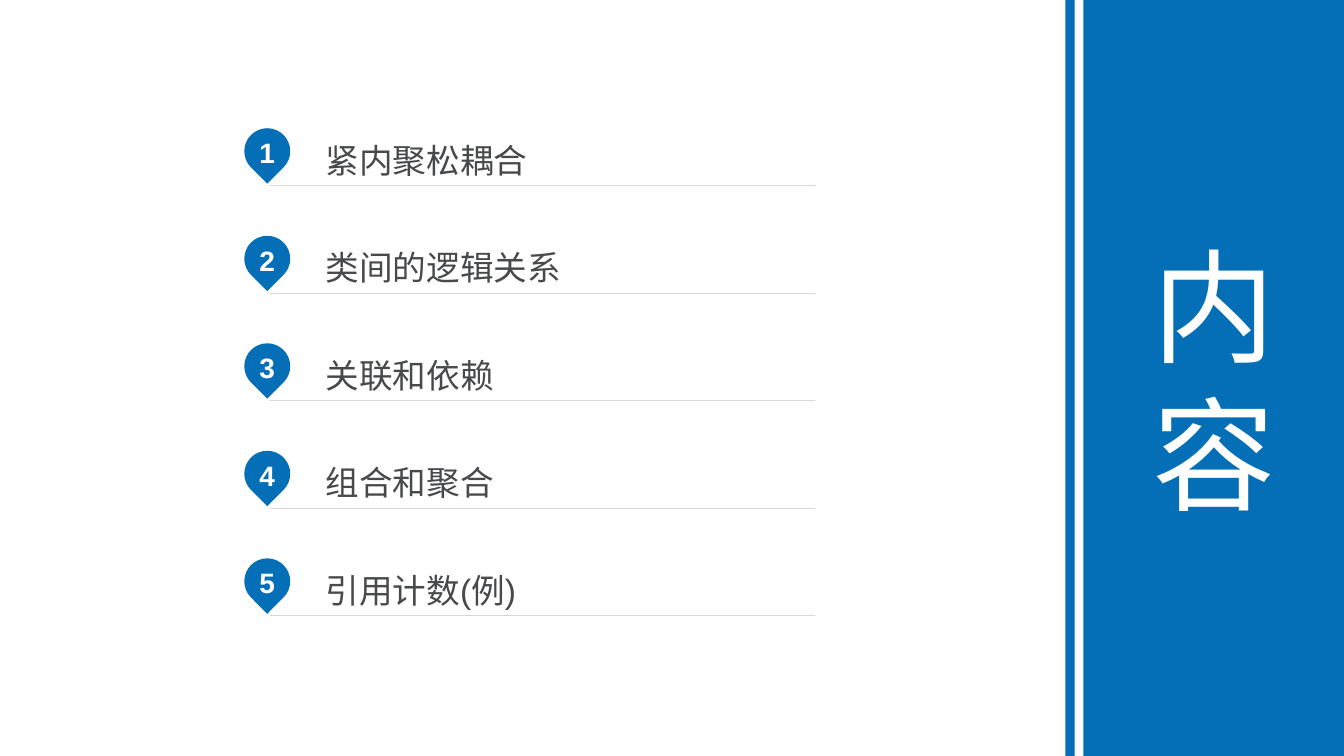
"""Build a contents slide with numbered pins and a title band."""
import itertools
import math

import lxml.etree
import pptx
import pptx.dml.color
import pptx.enum.shapes
import pptx.enum.text
import pptx.oxml.ns
import pptx.util

Pt = pptx.util.Pt
RGBColor = pptx.dml.color.RGBColor
ALIGN = pptx.enum.text.PP_ALIGN
qn = pptx.oxml.ns.qn

BLUE = RGBColor(0x04, 0x6F, 0xB6)
WHITE = RGBColor(0xFF, 0xFF, 0xFF)
GRAY = RGBColor(0xD7, 0xD7, 0xD7)
INK = RGBColor(0x47, 0x49, 0x4B)

TOPICS = ["紧内聚松耦合", "类间的逻辑关系", "关联和依赖", "组合和聚合", "引用计数(例)"]
FIRST_TOP = 91.6
STEP = 76.8
PIN_CENTER = 190.9
PIN_RADIUS = 16.4
PIN_ANGLES = [45, 0, -90, -180, -225]
ENTRY_LEFT = 193.1
ENTRY_RIGHT = 582.1
ENTRY_HEIGHT = 39.6


def to_points(pairs):
    """Convert coordinate pairs to lengths in points."""
    return [(Pt(x), Pt(y)) for x, y in pairs]


def paint(shape, color):
    """Give a shape a plain fill without outline or shadow."""
    shape.shadow.inherit = False
    shape.fill.solid()
    shape.fill.fore_color.rgb = color
    shape.line.fill.background()


def write(shape, text, size, color, align, insets, bold=False, spacing=1.0):
    """Write vertically centred text into a shape."""
    frame = shape.text_frame
    frame.word_wrap = True
    frame.vertical_anchor = pptx.enum.text.MSO_ANCHOR.MIDDLE
    frame.margin_left, frame.margin_top, frame.margin_right, frame.margin_bottom = (
        Pt(inset) for inset in insets)
    para = frame.paragraphs[0]
    para.alignment = align
    para.line_spacing = spacing
    span = para.add_run()
    span.text = text
    span.font.name = "Arial"
    span.font.size = Pt(size)
    span.font.bold = bold
    span.font.color.rgb = color


def arc_points(center_x, center_y, radius, start, end):
    """Return two control points and the end point of a circular arc."""
    first, last = math.radians(start), math.radians(end)
    pull = 4 / 3 * math.tan((last - first) / 4)
    units = [
        (math.cos(first) - pull * math.sin(first), math.sin(first) + pull * math.cos(first)),
        (math.cos(last) + pull * math.sin(last), math.sin(last) - pull * math.cos(last)),
        (math.cos(last), math.sin(last))]
    return [(center_x + radius * x, center_y + radius * y) for x, y in units]


def bend(shape):
    """Turn each three segments after the first into one curve."""
    segments = list(shape.element.iter(qn("a:lnTo")))[1:]
    for index in range(0, len(segments), 3):
        curve = lxml.etree.Element(qn("a:cubicBezTo"))
        segments[index].addprevious(curve)
        for segment in segments[index:index + 3]:
            curve.append(segment[0])
            segment.getparent().remove(segment)


def add_pin(page, top, number):
    """Draw a round pin pointing down, with its number."""
    middle = top + PIN_RADIUS
    reach = PIN_RADIUS * math.sqrt(0.5)
    corners = [(PIN_CENTER, middle + 2 * reach), (PIN_CENTER + reach, middle + reach)]
    for start, end in itertools.pairwise(PIN_ANGLES):
        corners += arc_points(PIN_CENTER, middle, PIN_RADIUS, start, end)
    outline = to_points(corners)
    builder = page.shapes.build_freeform(*outline[0])
    builder.add_line_segments(outline[1:], close=True)
    pin = builder.convert_to_shape()
    bend(pin)
    paint(pin, BLUE)
    write(pin, str(number), 20, WHITE, ALIGN.CENTER, (7.2, 3.6, 7.2, 8.6), bold=True)


def add_entry(page, top, topic):
    """Draw an underlined topic."""
    start, end, corner = to_points([
        (ENTRY_LEFT, top + ENTRY_HEIGHT), (ENTRY_RIGHT, top + ENTRY_HEIGHT),
        (ENTRY_LEFT, top)])
    builder = page.shapes.build_freeform(*start)
    builder.add_line_segments([end], close=True)
    builder.move_to(*corner)
    builder.add_line_segments([corner], close=True)
    entry = builder.convert_to_shape()
    entry.shadow.inherit = False
    entry.fill.background()
    entry.line.color.rgb = GRAY
    entry.line.width = Pt(0.25)
    write(entry, topic, 24, INK, ALIGN.LEFT, (39.6, 0, 0, 2.9), spacing=1.2)


def add_band(page, left, top, width, height):
    """Draw a blue vertical band and return it."""
    band = page.shapes.add_shape(pptx.enum.shapes.MSO_SHAPE.RECTANGLE,
                                 Pt(left), Pt(top), Pt(width), Pt(height))
    paint(band, BLUE)
    return band


def main():
    """Build and save the deck."""
    deck = pptx.Presentation()
    deck.slide_width, deck.slide_height = Pt(960), Pt(540)
    page = deck.slides.add_slide(deck.slide_layouts[6])
    for index, topic in enumerate(TOPICS):
        top = FIRST_TOP + index * STEP
        add_pin(page, top, index + 1)
        add_entry(page, top + 1.3, topic)
    title_band = add_band(page, 773.8, 0, 187.2, 540)
    write(title_band, "内容", 88, WHITE, ALIGN.CENTER, (7.2, 3.6, 7.2, 3.6))
    add_band(page, 761, -1.4, 6.7, 541.4)
    deck.save("out.pptx")


if __name__ == "__main__":
    main()
